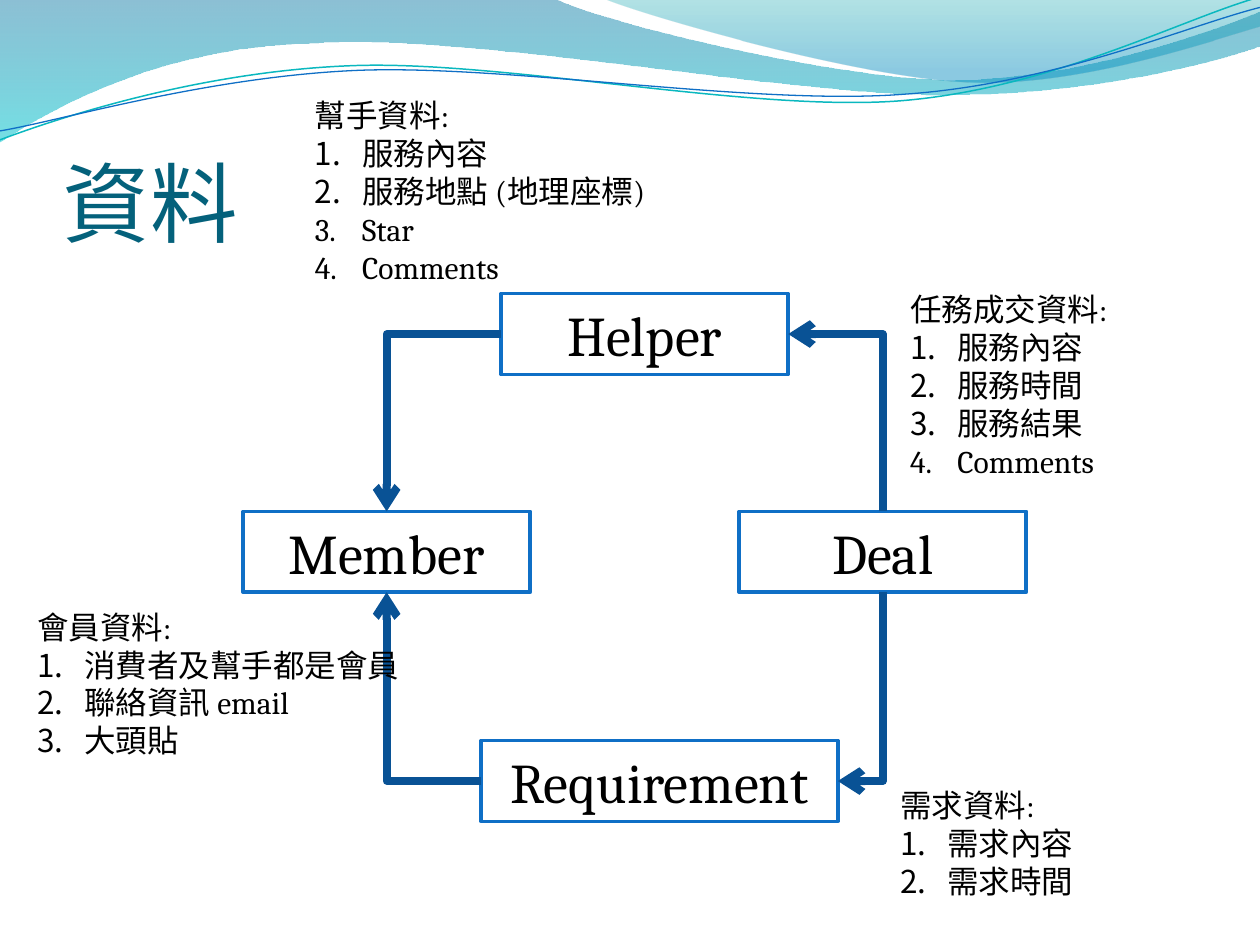
from dataclasses import dataclass

from lxml import etree
from pptx import Presentation
from pptx.dml.color import RGBColor
from pptx.enum.shapes import MSO_CONNECTOR, MSO_SHAPE
from pptx.enum.text import MSO_ANCHOR, MSO_AUTO_SIZE, PP_ALIGN
from pptx.oxml.ns import qn
from pptx.util import Cm, Pt

RECTANGLE = MSO_SHAPE.RECTANGLE
ELBOW = MSO_CONNECTOR.ELBOW
LEFT, CENTER = PP_ALIGN.LEFT, PP_ALIGN.CENTER
TOP, MIDDLE, BOTTOM = MSO_ANCHOR.TOP, MSO_ANCHOR.MIDDLE, MSO_ANCHOR.BOTTOM
GROW, FIXED = MSO_AUTO_SIZE.SHAPE_TO_FIT_TEXT, MSO_AUTO_SIZE.NONE
SITE_TOP, SITE_LEFT, SITE_BOTTOM, SITE_RIGHT = range(4)


@dataclass(frozen=True)
class Theme:
    heading_font: str = "Calibri"
    body_font: str = "Cambria"
    heading_size: float = 50
    entity_size: float = 32
    note_size: float = 18
    heading: str = "04617B"
    ink: str = "000000"
    paper: str = "FFFFFF"
    border: str = "0F6FC6"
    arrow: str = "095295"
    teal: str = "0AB8BF"


THEME = Theme()


@dataclass(frozen=True)
class Wave:
    start: tuple
    segments: tuple
    stops: tuple = ()
    line: str = ""
    weight: float = 0
    tilt: float = 0


@dataclass(frozen=True)
class Entity:
    name: str
    left: float
    top: float
    width: float = 5.79
    height: float = 1.63


@dataclass(frozen=True)
class Link:
    source: str
    source_site: int
    target: str
    target_site: int


@dataclass(frozen=True)
class Note:
    heading: str
    items: tuple
    left: float
    top: float
    width: float
    height: float


WAVES = (
    Wave((0, 0), ((11.18, -0.03), (12.09, 0.43, 16.87, 1.6, 19.25, 1.6),
                  (21.67, 1.6, 24.33, 0.66, 25.4, 0.23), (25.43, 0.91),
                  (24.97, 1.12, 22.1, 1.93, 18.95, 1.91),
                  (15.8, 1.91, 9.7, 0.71, 6.53, 0.86),
                  (3.28, 0.91, 1.17, 2.11, -0.03, 2.87), (0, 0)),
         stops=((0, "0074A1", 45), (1, "00C6CF", 55))),
    Wave((12.17, -0.03), ((12.93, 0.3, 17.32, 1.57, 19.53, 1.65),
                          (21.74, 1.75, 24.41, 0.81, 25.4, 0.53), (25.4, 0), (12.17, -0.03)),
         stops=((0, "00A1A9", 30), (0.8, "008BBF", 45))),
    Wave((-0.05, 2.22), ((1.19, 1.82, 4.02, 1.04, 7.05, 1.06),
                         (10.05, 1.07, 15.02, 2.37, 18.08, 2.29),
                         (21.13, 2.2, 23.86, 0.91, 25.41, 0.55)),
         line=THEME.teal, weight=0.85, tilt=357.3),
    Wave((-0.04, 2.04), ((1.16, 1.9, 4.17, 1.15, 7.2, 1.16),
                         (10.25, 1.18, 15.13, 2.25, 18.19, 2.16),
                         (21.22, 2.1, 23.93, 1.06, 25.45, 0.75)),
         line=THEME.border, weight=0.75, tilt=357.3),
)
ENTITIES = (
    Entity("Helper", 10.1, 5.92),
    Entity("Member", 4.9, 10.31),
    Entity("Deal", 14.9, 10.31),
    Entity("Requirement", 9.7, 14.93, width=7.19),
)
LINKS = (
    Link("Helper", SITE_LEFT, "Member", SITE_TOP),
    Link("Requirement", SITE_LEFT, "Member", SITE_BOTTOM),
    Link("Deal", SITE_TOP, "Helper", SITE_RIGHT),
    Link("Deal", SITE_BOTTOM, "Requirement", SITE_RIGHT),
)
NOTES = (
    Note("會員資料:", ("消費者及幫手都是會員", "聯絡資訊 email", "大頭貼"), 0.5, 12.13, 8, 3.33),
    Note("幫手資料:", ("服務內容", "服務地點 (地理座標)", "Star", "Comments"), 6.1, 1.82, 8, 4.11),
    Note("任務成交資料:", ("服務內容", "服務時間", "服務結果", "Comments"), 18.1, 5.73, 6.6, 4.11),
    Note("需求資料:", ("需求內容", "需求時間"), 17.9, 15.72, 6.6, 2.57),
)


def write(shape, heading: str, items: tuple = (), *, size: float, font: str = THEME.body_font,
          color: str = THEME.ink, align=LEFT, anchor=TOP, fit=GROW) -> None:
    frame = shape.text_frame
    frame.word_wrap = True
    frame.auto_size = fit
    frame.vertical_anchor = anchor
    for index, text in enumerate((heading, *items)):
        paragraph = frame.add_paragraph() if index else frame.paragraphs[0]
        paragraph.alignment = align
        run = paragraph.add_run()
        run.text = text
        run.font.name = font
        run.font.size = Pt(size)
        run.font.color.rgb = RGBColor.from_string(color)
        if index:
            properties = paragraph._p.get_or_add_pPr()
            properties.set("marL", str(Cm(0.95)))
            properties.set("indent", str(-Cm(0.95)))
            etree.SubElement(properties, qn("a:buFont"), typeface="+mj-lt")
            etree.SubElement(properties, qn("a:buAutoNum"), type="arabicPeriod")


def bend(ribbon, segments: tuple) -> None:
    corners = iter(list(ribbon._element.spPr.iter(qn("a:lnTo"))))
    for segment in segments:
        corner = next(corners)
        if len(segment) == 6:
            corner.tag = qn("a:cubicBezTo")
            for _ in range(2):
                follower = next(corners)
                corner.append(follower[0])
                follower.getparent().remove(follower)


def draw_wave(shapes, wave: Wave) -> None:
    points = [(Cm(x), Cm(y)) for segment in wave.segments
              for x, y in zip(segment[::2], segment[1::2])]
    builder = shapes.build_freeform(Cm(wave.start[0]), Cm(wave.start[1]), scale=1.0)
    builder.add_line_segments(points, close=bool(wave.stops))
    ribbon = builder.convert_to_shape()
    bend(ribbon, wave.segments)
    ribbon.rotation = wave.tilt
    ribbon.shadow.inherit = False
    if not wave.stops:
        ribbon.fill.background()
        ribbon.line.color.rgb = RGBColor.from_string(wave.line)
        ribbon.line.width = Pt(wave.weight)
        return
    ribbon.line.fill.background()
    ribbon.fill.gradient()
    ribbon.fill.gradient_angle = 270
    for stop, (position, color, _) in zip(ribbon.fill.gradient_stops, wave.stops):
        stop.position = position
        stop.color.rgb = RGBColor.from_string(color)
    tints = ribbon._element.spPr.iter(qn("a:srgbClr"))
    for tint, (_, _, opacity) in zip(list(tints), wave.stops):
        etree.SubElement(tint, qn("a:alpha"), val=str(opacity * 1000))


def draw_entity(shapes, entity: Entity):
    box = shapes.add_shape(RECTANGLE, Cm(entity.left), Cm(entity.top),
                           Cm(entity.width), Cm(entity.height))
    box.shadow.inherit = False
    box.fill.solid()
    box.fill.fore_color.rgb = RGBColor.from_string(THEME.paper)
    box.line.color.rgb = RGBColor.from_string(THEME.border)
    box.line.width = Pt(2)
    write(box, entity.name, size=THEME.entity_size, align=CENTER, anchor=MIDDLE)
    return box


def draw_link(shapes, link: Link, boxes: dict) -> None:
    arrow = shapes.add_connector(ELBOW, 0, 0, 0, 0)
    arrow.begin_connect(boxes[link.source], link.source_site)
    arrow.end_connect(boxes[link.target], link.target_site)
    arrow.line.color.rgb = RGBColor.from_string(THEME.arrow)
    arrow.line.width = Pt(4.5)
    properties = arrow._element.spPr
    properties.find(qn("a:prstGeom")).set("prst", "bentConnector2")
    etree.SubElement(properties.find(qn("a:ln")), qn("a:tailEnd"), type="arrow")
    etree.SubElement(properties, qn("a:effectLst"))
    if link.source_site in (SITE_TOP, SITE_BOTTOM):
        upward = link.source_site == SITE_TOP
        left, top, width, height = arrow.left, arrow.top, arrow.width, arrow.height
        arrow.left, arrow.top = left + (width - height) // 2, top + (height - width) // 2
        arrow.width, arrow.height = height, width
        frame = properties.find(qn("a:xfrm"))
        frame.set("rot", str((270 if upward else 90) * 60000))
        frame.set("flipH", "0")
        frame.set("flipV", str(int(upward)))


def draw_title(shapes, text: str) -> None:
    title = shapes.add_textbox(Cm(1.27), Cm(1.95), Cm(22.86), Cm(3.17))
    frame = title.text_frame
    frame.margin_left = frame.margin_right = frame.margin_bottom = Cm(0)
    write(title, text, size=THEME.heading_size, font=THEME.heading_font,
          color=THEME.heading, anchor=BOTTOM, fit=FIXED)


def main() -> None:
    deck = Presentation()
    deck.slide_width, deck.slide_height = Cm(25.4), Cm(19.05)
    shapes = deck.slides.add_slide(deck.slide_layouts[6]).shapes
    for wave in WAVES:
        draw_wave(shapes, wave)
    draw_title(shapes, "資料")
    boxes = {entity.name: draw_entity(shapes, entity) for entity in ENTITIES}
    for link in LINKS:
        draw_link(shapes, link, boxes)
    for note in NOTES:
        area = shapes.add_textbox(Cm(note.left), Cm(note.top), Cm(note.width), Cm(note.height))
        write(area, note.heading, note.items, size=THEME.note_size)
    deck.save("out.pptx")


main()
